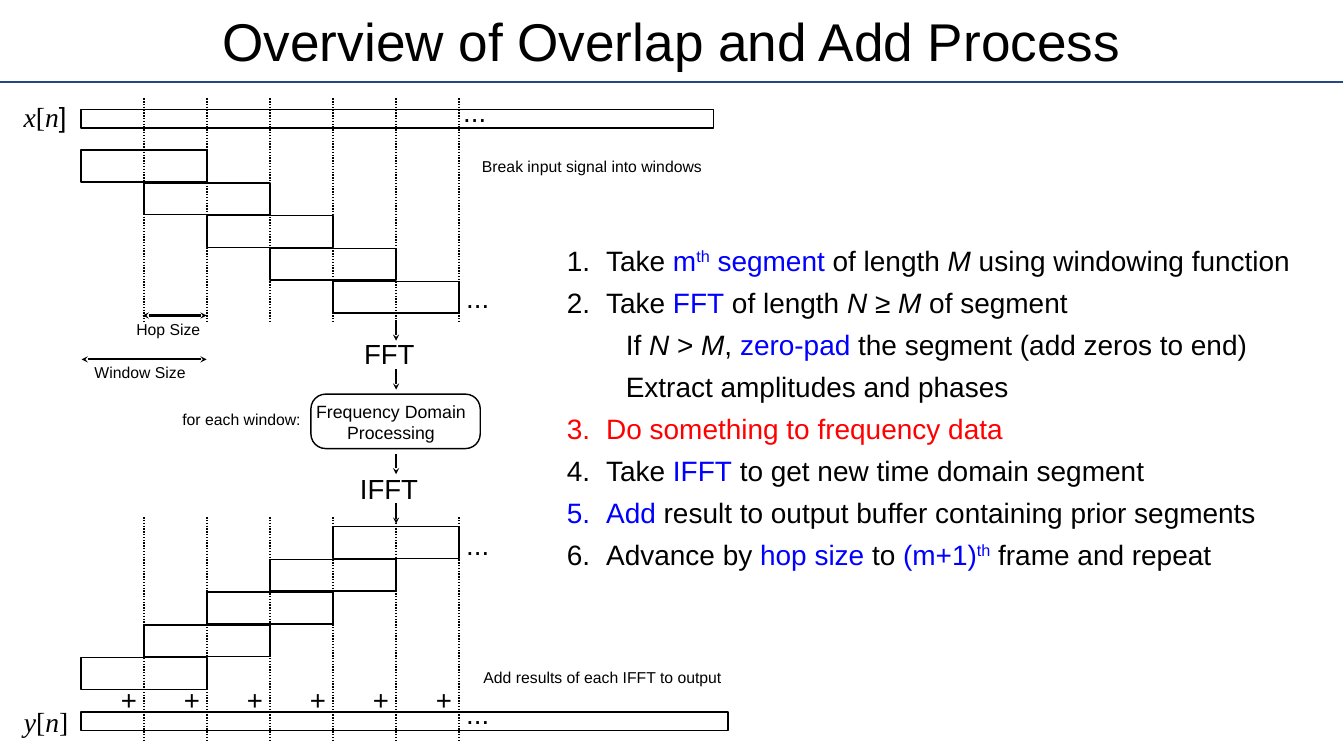
from lxml import etree
from pptx import Presentation
from pptx.dml.color import RGBColor
from pptx.enum import dml, shapes, text
from pptx.oxml import ns
from pptx.util import Inches, Pt

BLACK = RGBColor(0, 0, 0)
BLUE = RGBColor(0, 0, 255)
RED = RGBColor(255, 0, 0)
NAVY = RGBColor(0x25, 0x47, 0x89)
SANS, SERIF = "Arial", "Times New Roman"
BIG, SMALL = 39.4, 22.5
LEFT, HOP, WIN = 1.61, 1.25, 2.5
STEP, HIGH = 0.65, 0.63
MID = LEFT + 5 * HOP

ITEMS = [
    (0, [("Take ", ""), ("m", "b"), ("th", "bs"), (" segment", "b"),
         (" of length ", ""), ("M", "i"), (" using windowing function", "")]),
    (0, [("Take ", ""), ("FFT", "b"), (" of length ", ""), ("N", "i"),
         (" ≥ ", ""), ("M", "i"), (" of segment", "")]),
    (1, [("If ", ""), ("N", "i"), (" > ", ""), ("M", "i"), (", ", ""),
         ("zero-pad ", "b"), ("the segment (add zeros to end)", "")]),
    (1, [("Extract amplitudes and phases", "")]),
    (0, [("Do something to frequency data", "r")]),
    (0, [("Take ", ""), ("IFFT", "b"), (" to get new time domain segment", "")]),
    (0, [("Add", "b"), (" result to output buffer containing prior segments", "")]),
    (0, [("Advance by ", ""), ("hop size", "b"), (" to ", ""), ("(m+1)", "b"),
         ("th", "bs"), (" frame and repeat", "")]),
]


class Deck:
    """Holds the style and the current slide."""

    def __init__(self, show):
        self.slide = show.slides.add_slide(show.slide_layouts[5])
        self.shapes = self.slide.shapes

    def run(self, para, words, size, marks="", font=SANS):
        run = para.add_run()
        run.text = words
        run.font.size, run.font.name = Pt(size), font
        run.font.italic = "i" in marks
        run.font.color.rgb = BLUE if "b" in marks else RED if "r" in marks else BLACK
        if "s" in marks:
            run._r.get_or_add_rPr().set("baseline", "32000")

    def title(self, words):
        box = self.shapes.title
        box.left, box.top = Inches(3.33), Inches(0.08)
        box.width, box.height = Inches(20), Inches(1.43)
        frame = box.text_frame
        frame.margin_left = frame.margin_right = Inches(0.06)
        frame.margin_top = frame.margin_bottom = Inches(0.06)
        frame.vertical_anchor = text.MSO_ANCHOR.MIDDLE
        frame.paragraphs[0].alignment = text.PP_ALIGN.CENTER
        self.run(frame.paragraphs[0], words, 75.9)

    def box(self, x, y, w, h, kind=shapes.MSO_SHAPE.RECTANGLE):
        box = self.shapes.add_shape(kind, Inches(x), Inches(y), Inches(w), Inches(h))
        box.shadow.inherit = False
        box.fill.background()
        box.line.color.rgb, box.line.width = BLACK, Pt(2)
        return box

    def line(self, x1, y1, x2, y2, width=3, color=BLACK, dots=False, ends=()):
        line = self.shapes.add_connector(
            shapes.MSO_CONNECTOR.STRAIGHT, Inches(x1), Inches(y1), Inches(x2), Inches(y2))
        line.line.color.rgb, line.line.width = color, Pt(width)
        if dots:
            line.line.dash_style = dml.MSO_LINE.ROUND_DOT
        for end in ends:
            etree.SubElement(line.line._get_or_add_ln(), ns.qn("a:" + end), type="stealth")
        etree.SubElement(line._element.spPr, ns.qn("a:effectLst"))

    def label(self, x, y, w, h, rows, size):
        box = self.shapes.add_textbox(Inches(x), Inches(y), Inches(w), Inches(h))
        frame = box.text_frame
        frame.margin_left = frame.margin_right = frame.margin_top = frame.margin_bottom = 0
        frame.word_wrap = False
        frame.auto_size = text.MSO_AUTO_SIZE.SHAPE_TO_FIT_TEXT
        frame.vertical_anchor = text.MSO_ANCHOR.MIDDLE
        for i, runs in enumerate(rows):
            para = frame.add_paragraph() if i else frame.paragraphs[0]
            para.alignment = text.PP_ALIGN.CENTER
            for words, marks, font in runs:
                self.run(para, words, size, marks, font)

    def plain(self, x, y, w, h, words, size):
        self.label(x, y, w, h, [[(row, "", SANS)] for row in words.split("\n")], size)

    def steps(self, x, y, w, h, items):
        frame = self.shapes.add_textbox(Inches(x), Inches(y), Inches(w), Inches(h)).text_frame
        frame.word_wrap = True
        for i, (level, runs) in enumerate(items):
            para = frame.add_paragraph() if i else frame.paragraphs[0]
            para.level = level
            para.space_before, para.space_after = Pt(6 if i else 0), Pt(6)
            props = para._p.get_or_add_pPr()
            props.set("marL", str(Inches(1.34 if level else 0.95)))
            props.set("indent", str(Inches(0 if level else -0.78)))
            if level:
                etree.SubElement(props, ns.qn("a:buNone"))
            else:
                etree.SubElement(props, ns.qn("a:buFont"), typeface="+mj-lt")
                etree.SubElement(props, ns.qn("a:buAutoNum"), type="arabicPeriod")
            for words, marks in runs:
                self.run(para, words, 40, marks)


def main():
    show = Presentation()
    show.slide_width, show.slide_height = Inches(26.67), Inches(15)
    deck = Deck(show)
    deck.line(0, 1.62, 26.66, 1.62, color=NAVY)
    deck.title("Overview of Overlap and Add Process")

    deck.box(LEFT, 2.17, 12.55, 0.37)
    deck.box(LEFT, 14.13, 12.84, 0.37)
    for i in range(5):
        deck.box(LEFT + i * HOP, 2.98 + i * STEP, WIN, HIGH)
        deck.box(LEFT + i * HOP, 13.05 - i * STEP, WIN, HIGH)
    for i in range(6):
        x = LEFT + (i + 1) * HOP
        for top in (1.95, 10.26):
            deck.line(x, top, x, top + 4.44, 2, dots=True)
        deck.plain(x - 0.46, 13.55, 0.32, 0.66, "+", BIG)

    for tip in (6.76, 7.73, 9.41, 10.39):
        deck.line(MID, tip, MID, tip - 0.41, ends=["headEnd"])
    deck.plain(7.22, 6.69, 1.01, 0.66, "FFT", BIG)
    deck.plain(7.14, 9.36, 1.16, 0.66, "IFFT", BIG)
    stage = deck.box(6.17, 7.82, 3.36, 1.08, shapes.MSO_SHAPE.ROUNDED_RECTANGLE)
    stage.adjustments[0] = 0.27
    deck.plain(6.26, 7.94, 3, 0.85, "Frequency Domain\nProcessing", 25.3)

    for x, y in ((9.19, 1.88), (9.25, 5.58), (9.25, 10.48), (9.25, 13.82)):
        deck.plain(x, y, 0.46, 0.66, "...", BIG)
    for name, x, y, font in (("x", 0.41, 1.98, SANS), ("y", 0.43, 13.98, SERIF)):
        runs = [(name, "i", SERIF), ("[", "", SERIF), ("n", "i", SERIF), ("]", "", font)]
        deck.label(x, y, 0.97, 0.66, [runs], BIG)

    for x, y, w, words in (
            (9.55, 3.1, 4.4, "Break input signal into windows"),
            (9.58, 13.24, 4.76, "Add results of each IFFT to output"),
            (2.7, 6.35, 1.28, "Hop Size"),
            (1.87, 7.2, 1.82, "Window Size"),
            (3.61, 8.12, 2.37, "for each window:")):
        deck.plain(x, y, w, 0.38, words, SMALL)
    for x, y in ((2.83, 6.26), (1.62, 7.13)):
        deck.line(x, y, 4.1, y, ends=["headEnd", "tailEnd"])

    deck.steps(10.98, 4.78, 15.28, 6.66, ITEMS)
    show.save("out.pptx")


if __name__ == "__main__":
    main()
